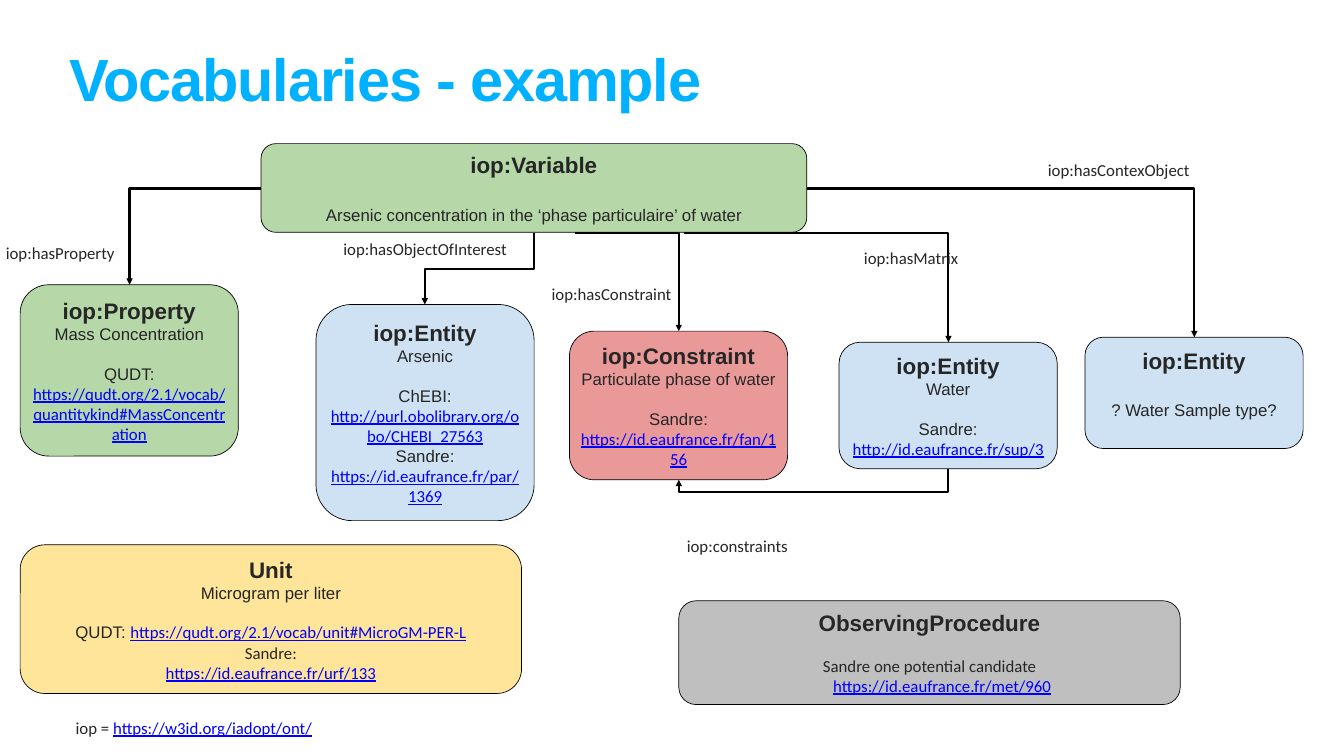
from lxml import etree
from pptx import Presentation
from pptx import util as u
from pptx.dml.color import RGBColor
from pptx.enum import shapes, text
from pptx.oxml import ns

PX = 9144  # 100 px to the inch
INSET = 6

BLACK = RGBColor(0x00, 0x00, 0x00)
INK = RGBColor(0x26, 0x26, 0x26)
LINK_BLUE = RGBColor(0x00, 0x00, 0xFF)
TITLE_BLUE = RGBColor(0x00, 0xB1, 0xFF)
GREEN = RGBColor(0xB6, 0xD7, 0xA8)
PALE_BLUE = RGBColor(0xCF, 0xE2, 0xF3)
RED = RGBColor(0xEA, 0x99, 0x99)
YELLOW = RGBColor(0xFF, 0xE5, 0x99)
GREY = RGBColor(0xBF, 0xBF, 0xBF)

HEADING = dict(name="Arial", size=u.Pt(32), bold=True, color=INK)
BODY = dict(name="Arial", size=u.Pt(24), bold=False, color=INK)
NOTE = dict(BODY, name="Calibri")
LINK = dict(NOTE, underline=True, color=LINK_BLUE)
TITLE = dict(name="Arial", size=u.Pt(85), bold=True, color=TITLE_BLUE)

# Space before a paragraph, in points: one line of body or heading text
BODY_GAP, HEADING_GAP = 27.6, 36.8

# Concept: (place, fill, paragraphs below the heading as (gap, runs))
CONCEPTS = [
    ("iop:Variable", (518, 285, 1083, 176), GREEN, [
        (HEADING_GAP, [(BODY, "Arsenic concentration in the ‘phase particulaire’ of water")])]),
    ("iop:Property", (40, 565, 433, 340), GREEN, [
        (0, [(BODY, "Mass Concentration")]),
        (BODY_GAP, [(BODY, "QUDT: "),
                    (LINK, "https://qudt.org/2.1/vocab/quantitykind#MassConcentration")])]),
    ("iop:Entity", (627, 604, 433, 429), PALE_BLUE, [
        (0, [(BODY, "Arsenic")]),
        (BODY_GAP, [(BODY, "ChEBI: "), (LINK, "http://purl.obolibrary.org/obo/CHEBI_27563")]),
        (0, [(BODY, "Sandre: "), (LINK, "https://id.eaufrance.fr/par/1369")])]),
    ("iop:Constraint", (1130, 657, 433, 295), RED, [
        (0, [(BODY, "Particulate phase of water")]),
        (BODY_GAP, [(BODY, "Sandre: "), (LINK, "https://id.eaufrance.fr/fan/156")])]),
    ("iop:Entity", (1665, 679, 433, 251), PALE_BLUE, [
        (0, [(BODY, "Water")]),
        (BODY_GAP, [(BODY, "Sandre: "), (LINK, "http://id.eaufrance.fr/sup/3")])]),
    ("iop:Entity", (2153, 669, 433, 221), PALE_BLUE, [
        (HEADING_GAP, [(BODY, "? Water Sample type?")])]),
    ("Unit", (40, 1081, 995, 295), YELLOW, [
        (0, [(BODY, "Microgram per liter")]),
        (BODY_GAP, [(BODY, "QUDT: "), (LINK, "https://qudt.org/2.1/vocab/unit#MicroGM-PER-L")]),
        (0, [(NOTE, "Sandre:")]),
        (0, [(LINK, "https://id.eaufrance.fr/urf/133")])]),
    ("ObservingProcedure", (1347, 1192, 995, 206), GREY, [
        (BODY_GAP, [(NOTE, "Sandre one potential candidate")]),
        (0, [(LINK, "https://id.eaufrance.fr/met/960")])]),
]

LABELS = [
    ((-4, 476, 247, 52), [(NOTE, "iop:hasProperty")]),
    ((661, 468, 365, 52), [(NOTE, "iop:hasObjectOfInterest")]),
    ((1077, 556, 273, 52), [(NOTE, "iop:hasConstraint")]),
    ((1702, 485, 212, 52), [(NOTE, "iop:hasMatrix")]),
    ((2058, 311, 324, 52), [(NOTE, "iop:hasContexObject")]),
    ((1349, 1057, 228, 52), [(NOTE, "iop:constraints")]),
    ((135, 1418, 499, 52), [(NOTE, "iop = "), (LINK, "https://w3id.org/iadopt/ont/")]),
]

# Arrows that leave sideways and turn down once: (from, to)
CORNER_ARROWS = [
    ((518, 374), (257, 565)),
    ((1357, 462), (1882, 679)),
    ((1141, 462), (1347, 657)),
    ((1601, 374), (2370, 669)),
]
# Arrows that leave downwards and run left: (from, to, share of height at the turn)
STEP_ARROWS = [
    ((1060, 462), (843, 604), 0.5),
    ((1882, 930), (1347, 952), 2.12),
]


def emu(*lengths):
    return [u.Emu(round(length * PX)) for length in lengths]


def format_font(font, style):
    for key, value in style.items():
        if key == "color":
            font.color.rgb = value
        else:
            setattr(font, key, value)


def set_frame(frame, wrap, bottom=INSET):
    left, low = emu(INSET, bottom)
    settings = dict(margin_left=left, margin_right=left, margin_top=left, margin_bottom=low,
                    word_wrap=wrap, vertical_anchor=text.MSO_ANCHOR.MIDDLE,
                    auto_size=text.MSO_AUTO_SIZE.NONE)
    for key, value in settings.items():
        setattr(frame, key, value)


def write_paragraph(paragraph, runs, gap=0):
    paragraph.alignment = text.PP_ALIGN.CENTER
    if gap:
        paragraph.space_before = u.Pt(gap)
    for style, words in runs:
        run = paragraph.add_run()
        run.text = words
        format_font(run.font, style)


def add_title(slide, words):
    title = slide.shapes.title
    title.left, title.top, title.width, title.height = emu(132, 104, 2403, 157)
    set_frame(title.text_frame, True)
    title.text_frame.vertical_anchor = text.MSO_ANCHOR.TOP
    paragraph = title.text_frame.paragraphs[0]
    paragraph.alignment = text.PP_ALIGN.LEFT
    paragraph.line_spacing = 0.8
    run = paragraph.add_run()
    run.text = words
    format_font(run.font, TITLE)
    run.font._element.set("spc", "-170")


def add_concept(slide, heading, place, fill, details):
    box = slide.shapes.add_shape(shapes.MSO_SHAPE.ROUNDED_RECTANGLE, *emu(*place))
    box.shadow.inherit = False
    box.fill.solid()
    box.fill.fore_color.rgb = fill
    box.line.color.rgb = BLACK
    box.line.width = u.Pt(1)
    set_frame(box.text_frame, True)
    write_paragraph(box.text_frame.paragraphs[0], [(HEADING, heading)])
    for gap, runs in details:
        write_paragraph(box.text_frame.add_paragraph(), runs, gap)
    return box


def add_label(slide, place, runs):
    label = slide.shapes.add_textbox(*emu(*place))
    set_frame(label.text_frame, False)
    write_paragraph(label.text_frame.paragraphs[0], runs)


def add_arrow(slide, start, end, preset):
    arrow = slide.shapes.add_connector(shapes.MSO_CONNECTOR.ELBOW, *emu(*start, *end))
    arrow.line.color.rgb = BLACK
    arrow.line.width = u.Pt(3)
    properties = arrow._element.spPr
    properties.find(ns.qn("a:prstGeom")).set("prst", preset)
    etree.SubElement(arrow.line._get_or_add_ln(), ns.qn("a:tailEnd"), type="triangle")
    etree.SubElement(properties, ns.qn("a:effectLst"))
    return properties


def add_step_arrow(slide, start, end, turn):
    """Draw a sideways step about the middle of the route, then turn it by 90 degrees."""
    (x1, y1), (x2, y2) = start, end
    mid_x, mid_y = (x1 + x2) / 2, (y1 + y2) / 2
    across, down = (x1 - x2) / 2, (y2 - y1) / 2
    properties = add_arrow(slide, (mid_x - down, mid_y - across),
                           (mid_x + down, mid_y + across), "bentConnector3")
    properties.find(ns.qn("a:xfrm")).set("rot", str(90 * 60000))
    adjustments = properties.find(ns.qn("a:prstGeom")).get_or_add_avLst()
    etree.SubElement(adjustments, ns.qn("a:gd"), name="adj1", fmla=f"val {round(turn * 100000)}")


def main():
    deck = Presentation()
    deck.slide_width, deck.slide_height = emu(2667, 1500)
    slide = deck.slides.add_slide(deck.slide_layouts[5])
    add_title(slide, "Vocabularies - example")
    boxes = [add_concept(slide, *concept) for concept in CONCEPTS]
    sample, procedure = boxes[5], boxes[7]
    set_frame(sample.text_frame, True, bottom=44)
    procedure.text_frame.paragraphs[-1]._p.get_or_add_pPr().set("indent", str(50 * PX))
    for start, end in CORNER_ARROWS:
        add_arrow(slide, start, end, "bentConnector2")
    for route in STEP_ARROWS:
        add_step_arrow(slide, *route)
    for place, runs in LABELS:
        add_label(slide, place, runs)
    deck.save("out.pptx")


if __name__ == "__main__":
    main()
